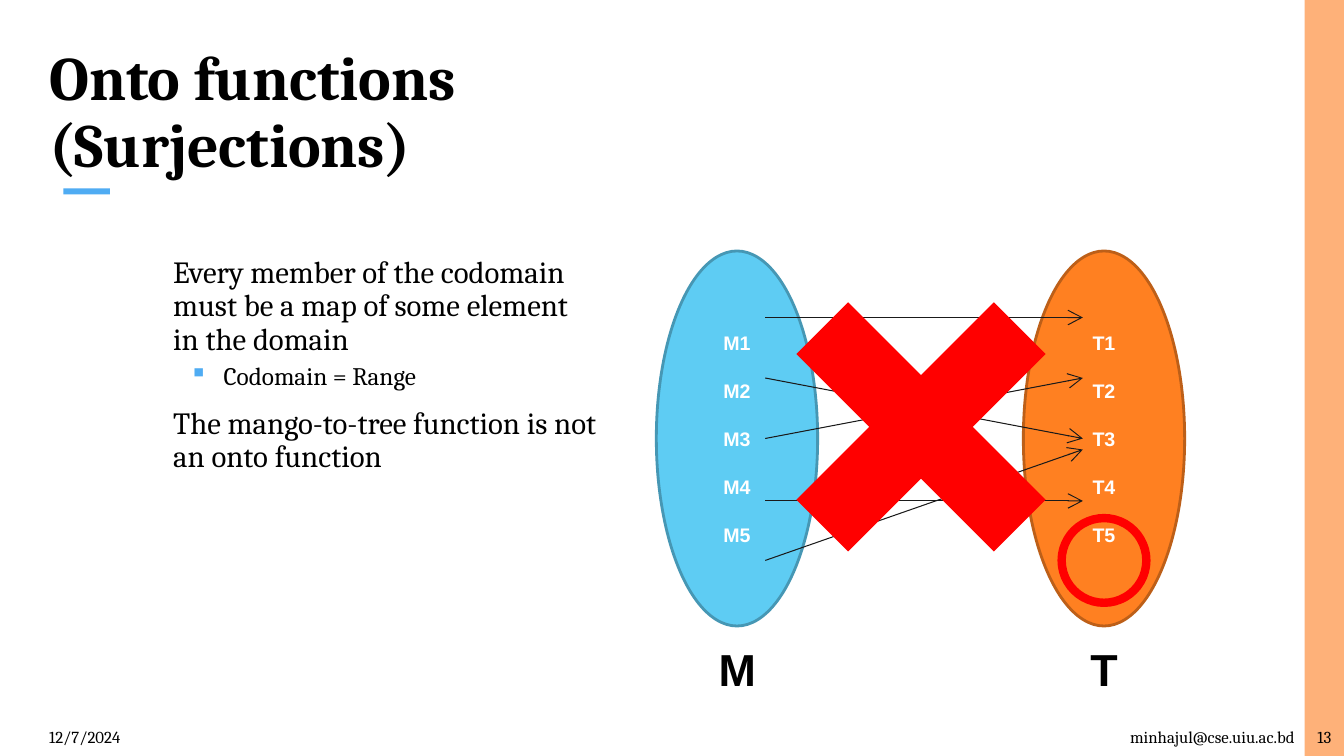
import pptx
import pptx.util
import pptx.dml.color
import pptx.enum.shapes
import pptx.enum.text
import pptx.oxml.ns
from dataclasses import dataclass
from lxml import etree

SCALE = 9144  # EMU in one px, 100 px to the inch
SHAPE = pptx.enum.shapes.MSO_SHAPE
ALIGN = pptx.enum.text.PP_ALIGN
ANCHOR = pptx.enum.text.MSO_ANCHOR


@dataclass(frozen=True)
class Theme:
    serif: str = "Cambria"
    sans: str = "Arial"
    black: str = "000000"
    white: str = "FFFFFF"
    side: str = "FEB179"
    accent: str = "4FACF3"
    mango: str = "5ECCF3"
    mango_edge: str = "4697B4"
    tree: str = "FF8021"
    tree_edge: str = "BD5F18"
    arrow: str = "1A1A1A"
    warning: str = "FF0000"
    title: int = 44
    label: int = 32
    body: int = 22
    detail: int = 18
    member: int = 14
    footer: int = 12


THEME = Theme()


def px(length):
    return pptx.util.Emu(round(length * SCALE))


def color(value):
    return pptx.dml.color.RGBColor.from_string(value)


def set_attributes(target, values):
    for name, value in values.items():
        setattr(target, name, value)


def write(paragraph, text, size, face=THEME.serif, ink=THEME.black, bold=False, **layout):
    paragraph.text = text
    set_attributes(paragraph, layout)
    for run in paragraph.runs:
        set_attributes(run.font, {"name": face, "size": pptx.util.Pt(size), "bold": bold})
        run.font.color.rgb = color(ink)


def add_text_box(slide, box, anchor=ANCHOR.TOP, wrap=True):
    frame = slide.shapes.add_textbox(*map(px, box)).text_frame
    set_attributes(frame, {"word_wrap": wrap, "vertical_anchor": anchor})
    return frame


def add_figure(slide, kind, box, fill=None, edge=None, width=0):
    shape = slide.shapes.add_shape(kind, *map(px, box))
    shape.shadow.inherit = False
    if fill:
        shape.fill.solid()
        shape.fill.fore_color.rgb = color(fill)
    else:
        shape.fill.background()
    if edge:
        shape.line.color.rgb = color(edge)
        shape.line.width = pptx.util.Pt(width)
    else:
        shape.line.fill.background()
    return shape


def add_arrow(slide, start, end):
    connector = slide.shapes.add_connector(
        pptx.enum.shapes.MSO_CONNECTOR.STRAIGHT, *map(px, (*start, *end)))
    connector.line.color.rgb = color(THEME.arrow)
    connector.line.width = pptx.util.Pt(0.75)
    etree.SubElement(connector.line._get_or_add_ln(), pptx.oxml.ns.qn("a:tailEnd"),
                     type="arrow", w="lg", len="lg")
    etree.SubElement(connector._element.spPr, pptx.oxml.ns.qn("a:effectLst"))


def set_indent(paragraph, margin, hanging=0, bullet=None):
    properties = paragraph._p.get_or_add_pPr()
    properties.set("marL", str(px(margin)))
    properties.set("indent", str(px(-hanging)))
    if bullet:
        bullet_color = etree.SubElement(properties, pptx.oxml.ns.qn("a:buClr"))
        etree.SubElement(bullet_color, pptx.oxml.ns.qn("a:srgbClr"), val=THEME.accent)
        etree.SubElement(properties, pptx.oxml.ns.qn("a:buChar"), char=bullet)


def add_title(slide, box):
    left, top, width, height = box
    add_figure(slide, SHAPE.RECTANGLE, (left + 24, top + height + 3, 46, 6), THEME.accent)
    frame = add_text_box(slide, box, ANCHOR.BOTTOM)
    write(frame.paragraphs[0], "Onto functions\v(Surjections)", THEME.title,
          bold=True, line_spacing=0.9)


def add_body(slide, box):
    frame = add_text_box(slide, box)
    # text, size, space before, (margin, hanging, bullet)
    rows = [
        ("Every member of the codomain must be a map of some element in the domain",
         THEME.body, 0, (50,)),
        ("Codomain = Range", THEME.detail, 5, (100, 34, "▪")),
        ("The mango-to-tree function is not an onto function", THEME.body, 12, (50,)),
    ]
    for index, (text, size, before, indent) in enumerate(rows):
        paragraph = frame.add_paragraph() if index else frame.paragraphs[0]
        set_indent(paragraph, *indent)
        write(paragraph, text, size, line_spacing=0.9, space_before=pptx.util.Pt(before))


def add_set(slide, box, name, fill, edge):
    left, top, width, height = box
    ellipse = add_figure(slide, SHAPE.OVAL, box, fill, edge, 2)
    frame = ellipse.text_frame
    frame.vertical_anchor = ANCHOR.MIDDLE
    for index in range(5):
        paragraph = frame.add_paragraph() if index else frame.paragraphs[0]
        write(paragraph, f"{name}{index + 1}", THEME.member, THEME.sans, THEME.white, True,
              alignment=ALIGN.CENTER, space_before=pptx.util.Pt(17.5 if index else 0))
    label = add_text_box(slide, (left + width / 2 - 28, top + height + 11, 56, 64), wrap=False)
    write(label.paragraphs[0], name, THEME.label, THEME.sans, bold=True, alignment=ALIGN.CENTER)


def add_mapping(slide, box):
    left, top, width, height = box
    set_width = 160
    tree_left = left + width - set_width
    add_set(slide, (left, top, set_width, height), "M", THEME.mango, THEME.mango_edge)
    add_set(slide, (tree_left, top, set_width, height), "T", THEME.tree, THEME.tree_edge)
    # Arrows from mangoes to trees, as heights below the top of the sets
    for start, end in [(66, 66), (126, 186), (186, 126), (248, 248), (307, 197)]:
        add_arrow(slide, (left + 108, top + start), (tree_left + 59, top + end))
    # Unmapped tree and the cross over the mapping
    add_figure(slide, SHAPE.OVAL, (tree_left + 38, top + 265, 84, 84),
               edge=THEME.warning, width=6)
    cross = add_figure(slide, SHAPE.CROSS, (left + 124, top + 36, 277, 277), THEME.warning)
    cross.adjustments[0] = 0.369
    cross.rotation = 315


def add_footer(slide, box):
    left, top, width, height = box
    items = [
        ("12/7/2024", 0, 300, ALIGN.LEFT),
        ("minhajul@cse.uiu.ac.bd", width - 489, 450, ALIGN.RIGHT),
        ("13", width - 39, 39, ALIGN.CENTER),
    ]
    for text, offset, item_width, alignment in items:
        frame = add_text_box(slide, (left + offset, top, item_width, height),
                             ANCHOR.MIDDLE, wrap=alignment != ALIGN.CENTER)
        write(frame.paragraphs[0], text, THEME.footer, alignment=alignment)


def add_onto_slide(presentation):
    slide = presentation.slides.add_slide(presentation.slide_layouts[6])
    # Coloured side strip beside the white page
    slide.background.fill.solid()
    slide.background.fill.fore_color.rgb = color(THEME.side)
    add_figure(slide, SHAPE.RECTANGLE, (0, 0, 1294, 750), THEME.white)
    add_title(slide, (39, 39, 1215, 145))
    add_body(slide, (112, 250, 490, 440))
    add_footer(slide, (39, 711, 1294, 39))
    add_mapping(slide, (651, 249, 524, 372))


def main():
    presentation = pptx.Presentation()
    set_attributes(presentation, {"slide_width": px(1333), "slide_height": px(750)})
    add_onto_slide(presentation)
    presentation.save("out.pptx")


if __name__ == "__main__":
    main()
